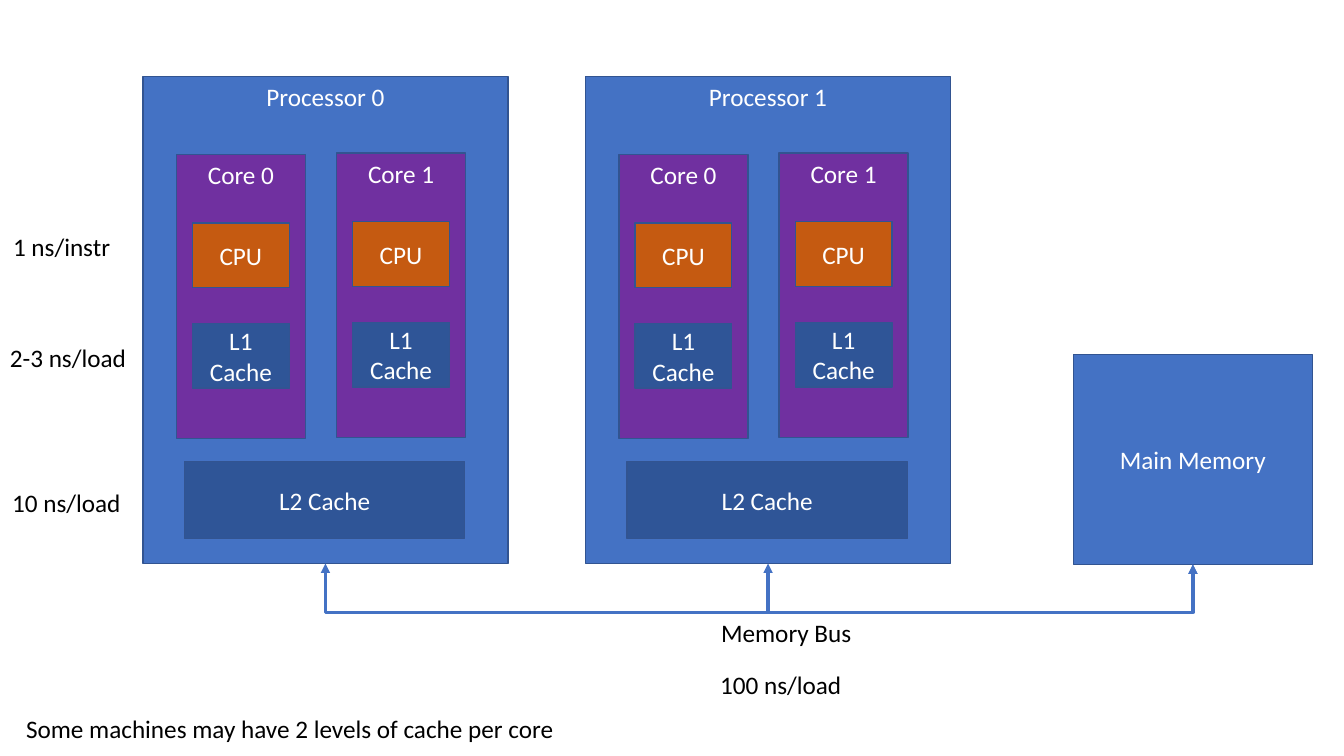
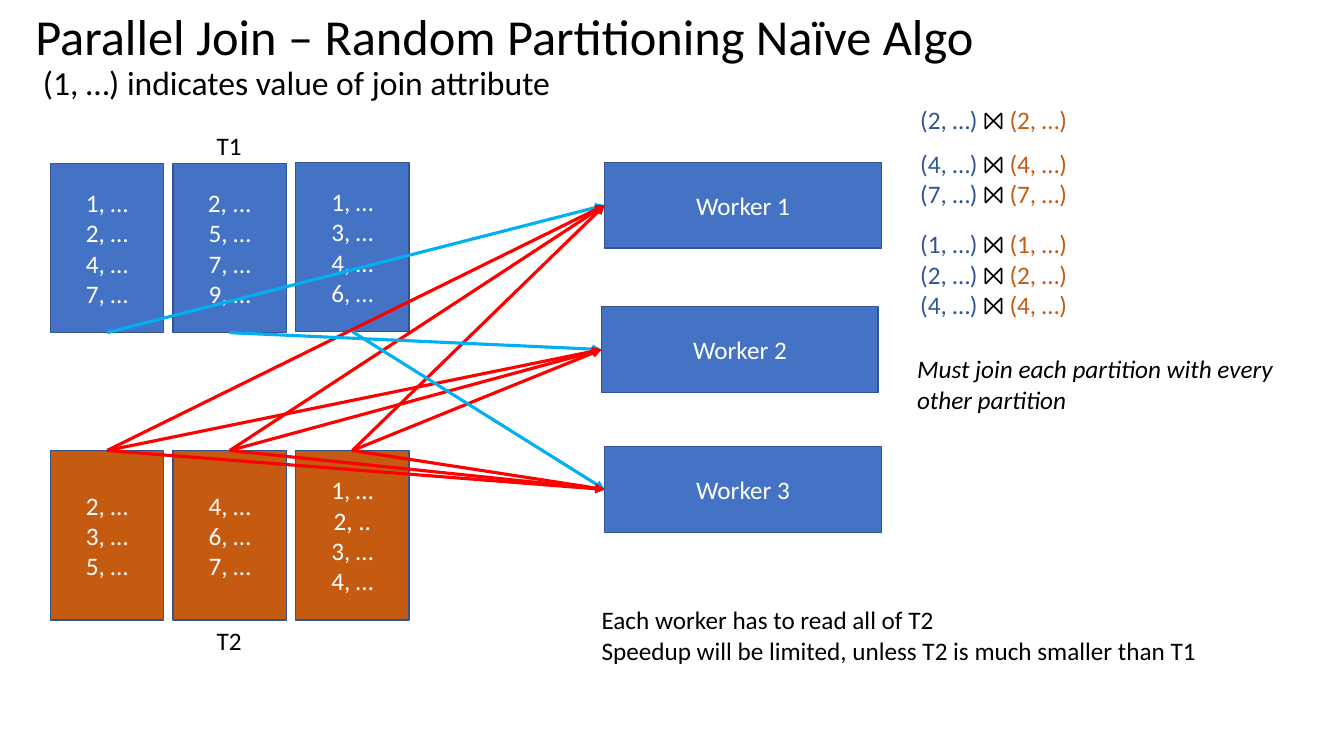
from dataclasses import dataclass

from pptx import Presentation
from pptx.dml.color import RGBColor
from pptx.enum.shapes import MSO_CONNECTOR, MSO_SHAPE
from pptx.enum.text import MSO_ANCHOR, MSO_AUTO_SIZE, PP_ALIGN
from pptx.oxml.ns import qn
from pptx.util import Pt
from lxml.etree import SubElement


@dataclass(frozen=True)
class Theme:
    font: str = "Calibri"
    body: int = 18
    title: int = 36
    subtitle: int = 24
    white: str = "FFFFFF"
    black: str = "000000"
    blue: str = "4472C4"
    navy: str = "2F5597"
    outline: str = "325491"
    purple: str = "7030A0"
    orange: str = "C55A11"
    cyan: str = "00B0F0"
    red: str = "FF0000"
    outline_width: float = 1
    arrow_width: float = 2.25


THEME = Theme()
SLIDE_SIZE = (960, 540)

PROCESSORS = ["Processor 0", "Processor 1"]
PROCESSOR_BOX = (102.2, 54.7, 260.6, 347.8)
PROCESSOR_PITCH = 316.1
CORES = [("Core 0", 23.8, 55.5), ("Core 1", 138.2, 54.7)]
CORE_SIZE = (92.2, 203)
CORE_PARTS = [("CPU", 49, THEME.orange), ("L1 Cache", 121, THEME.navy)]
CORE_PART_SIZE = (69.1, 46.1)
L2_BOX = (29.6, 275.1, 200.2, 54.7)
MEMORY_BOX = (766.8, 253.4, 170.6, 149.8)
BUS_DEPTH = 34.6
MACHINE_NOTES = [
    ("1 ns/instr", 2.2, 162, 90, PP_ALIGN.LEFT),
    ("2-3 ns/load", 0, 241.2, 100, PP_ALIGN.LEFT),
    ("10 ns/load", 1.6, 344.4, 96, PP_ALIGN.LEFT),
    ("Memory Bus", 359.3, 437.2, 404.6, PP_ALIGN.CENTER),
    ("100 ns/load", 507.3, 474.5, 110, PP_ALIGN.LEFT),
    ("Some machines may have 2 levels of cache per core", 11.5, 505.8, 420, PP_ALIGN.LEFT),
]

TITLE = "Parallel Join – Random Partitioning Naïve Algo"
SUBTITLE = " (1, …) indicates value of join attribute"
TITLE_BOX = (18, -11.5, 828, 104.4)
TABLES = [
    {"name": "T1", "fill": THEME.blue, "top": 116.6, "label_top": 89.3,
     "partitions": [["1, …", "2, …", "4, …", "7, …"],
                    ["2, ...", "5, …", "7, …", "9, …"],
                    ["1, …", "3, …", "4, …", "6, …"]],
     "nudges": [0, 0, -0.7]},
    {"name": "T2", "fill": THEME.orange, "top": 321.8, "label_top": 442.8,
     "partitions": [["2, …", "3, …", "5, …"],
                    ["4, …", "6, …", "7, …"],
                    ["1, …", "2, ..", "3, …", "4, …"]],
     "nudges": [0, 0, 0]},
]
PARTITION_LEFT, PARTITION_PITCH = 36, 87.6
PARTITION_SIZE = (81, 121)
WORKERS = [("Worker 1", 432, 115.9), ("Worker 2", 429.8, 219), ("Worker 3", 432, 319)]
WORKER_SIZE = (197.5, 61.3)
JOINS = [(71.2, [2]), (102.2, [4, 7]), (159.8, [1, 2, 4])]
JOIN_LEFT, JOIN_WIDTH = 650.2, 168
REMARK = "Must join each partition with every other partition"
CONCLUSIONS = [
    "Each worker has to read all of T2",
    "Speedup will be limited, unless T2 is much smaller than T1",
]


def apply_format(span, size=THEME.body, color=THEME.black, italic=False):
    values = {"name": THEME.font, "size": Pt(size), "italic": italic}
    for name, value in values.items():
        setattr(span.font, name, value)
    span.font.color.rgb = RGBColor.from_string(color)


def write(frame, paragraphs, align=PP_ALIGN.LEFT, **formats):
    for index, content in enumerate(paragraphs):
        para = frame.paragraphs[0] if index == 0 else frame.add_paragraph()
        para.alignment = align
        spans = [(content, {})] if isinstance(content, str) else content
        for text, changes in spans:
            span = para.add_run()
            span.text = text
            apply_format(span, **{**formats, **changes})


def add_box(page, bounds, fill, paragraphs, anchor=MSO_ANCHOR.MIDDLE):
    box = page.shapes.add_shape(MSO_SHAPE.RECTANGLE, *map(Pt, bounds))
    box.shadow.inherit = False
    box.fill.solid()
    box.fill.fore_color.rgb = RGBColor.from_string(fill)
    box.line.color.rgb = RGBColor.from_string(THEME.outline)
    box.line.width = Pt(THEME.outline_width)
    box.text_frame.vertical_anchor = anchor
    write(box.text_frame, paragraphs, PP_ALIGN.CENTER, color=THEME.white)


def add_note(page, left, top, width, paragraphs, align=PP_ALIGN.LEFT, **formats):
    height = 7.2 + 22 * len(paragraphs)
    box = page.shapes.add_textbox(*map(Pt, (left, top, width, height)))
    box.text_frame.word_wrap = True
    write(box.text_frame, paragraphs, align, **formats)


def add_arrow(page, kind, start, end, color, heads=("tailEnd",)):
    arrow = page.shapes.add_connector(kind, *map(Pt, (*start, *end)))
    arrow.line.color.rgb = RGBColor.from_string(color)
    arrow.line.width = Pt(THEME.arrow_width)
    line = arrow.line._get_or_add_ln()
    for head in heads:
        SubElement(line, qn(f"a:{head}")).set("type", "triangle")
    SubElement(arrow._element.spPr, qn("a:effectLst"))
    return arrow


def add_bus(page, start, end):
    center_x, center_y = ((a + b) / 2 for a, b in zip(start, end))
    span, drop = end[0] - start[0], end[1] - start[1]
    corner = (center_x - drop / 2, center_y - span / 2)
    opposite = (center_x + drop / 2, center_y + span / 2)
    bus = add_arrow(page, MSO_CONNECTOR.ELBOW, corner, opposite, THEME.blue,
                    ("headEnd", "tailEnd"))
    properties = bus._element.spPr
    for name, value in {"rot": "16200000", "flipH": "1"}.items():
        properties.find(qn("a:xfrm")).set(name, value)
    guides = properties.find(qn("a:prstGeom")).get_or_add_avLst()
    guide = SubElement(guides, qn("a:gd"))
    guide.set("name", "adj1")
    guide.set("fmla", f"val {round(BUS_DEPTH / drop * 100000)}")


def add_processor(page, name, left):
    top, width, height = PROCESSOR_BOX[1:]
    add_box(page, (left, top, width, height), THEME.blue, [name], MSO_ANCHOR.TOP)
    for core, across, down in CORES:
        core_left, core_top = left + across, top + down
        add_box(page, (core_left, core_top, *CORE_SIZE), THEME.purple, [core], MSO_ANCHOR.TOP)
        part_left = core_left + (CORE_SIZE[0] - CORE_PART_SIZE[0]) / 2
        for part, part_down, fill in CORE_PARTS:
            add_box(page, (part_left, core_top + part_down, *CORE_PART_SIZE), fill, [part])
    across, down, *size = L2_BOX
    add_box(page, (left + across, top + down, *size), THEME.navy, ["L2 Cache"])
    return left + width / 2, top + height


def build_machine(deck):
    page = deck.slides.add_slide(deck.slide_layouts[6])
    ports = [add_processor(page, name, PROCESSOR_BOX[0] + index * PROCESSOR_PITCH)
             for index, name in enumerate(PROCESSORS)]
    add_box(page, MEMORY_BOX, THEME.blue, ["Main Memory"])
    left, top, width, height = MEMORY_BOX
    for port in ports:
        add_bus(page, port, (left + width / 2, top + height))
    for text, left, top, width, align in MACHINE_NOTES:
        add_note(page, left, top, width, [text], align)


def add_title(page):
    title = page.shapes.title
    bounds = dict(zip(("left", "top", "width", "height"), TITLE_BOX))
    for name, value in bounds.items():
        setattr(title, name, Pt(value))
    frame = title.text_frame
    frame.auto_size = MSO_AUTO_SIZE.NONE
    frame.vertical_anchor = MSO_ANCHOR.MIDDLE
    para = frame.paragraphs[0]
    para.line_spacing = 0.9
    write(frame, [TITLE], size=THEME.title)
    para.add_line_break()
    span = para.add_run()
    span.text = SUBTITLE
    apply_format(span, size=THEME.subtitle)


def build_join(deck):
    page = deck.slides.add_slide(deck.slide_layouts[5])
    add_title(page)
    width, height = PARTITION_SIZE
    lefts = [PARTITION_LEFT + index * PARTITION_PITCH for index in range(3)]
    centers = [left + width / 2 for left in lefts]
    for table in TABLES:
        for left, rows, nudge in zip(lefts, table["partitions"], table["nudges"]):
            add_box(page, (left, table["top"] + nudge, width, height), table["fill"], rows)
        add_note(page, 147.6, table["label_top"], 40, [table["name"]])
    upper, lower = TABLES
    for index, (name, left, top) in enumerate(WORKERS):
        add_box(page, (left, top, *WORKER_SIZE), THEME.blue, [name])
        target = (left, top + WORKER_SIZE[1] / 2)
        source = (centers[index], upper["top"] + upper["nudges"][index] + height)
        routes = [(source, THEME.cyan)]
        routes += [((center, lower["top"]), THEME.red) for center in centers]
        for start, color in routes:
            add_arrow(page, MSO_CONNECTOR.STRAIGHT, start, target, color)
    for top, keys in JOINS:
        rows = [[(f"({key}, …) ", {"color": THEME.navy}),
                 ("⨝ ", {}),
                 (f"({key}, …)", {"color": THEME.orange})] for key in keys]
        add_note(page, JOIN_LEFT, top, JOIN_WIDTH, rows)
    add_note(page, 648, 249.1, 296, [REMARK], italic=True)
    add_note(page, 422.6, 428.4, 456, CONCLUSIONS)


def main():
    deck = Presentation()
    deck.slide_width, deck.slide_height = map(Pt, SLIDE_SIZE)
    build_machine(deck)
    build_join(deck)
    deck.save("out.pptx")


if __name__ == "__main__":
    main()
